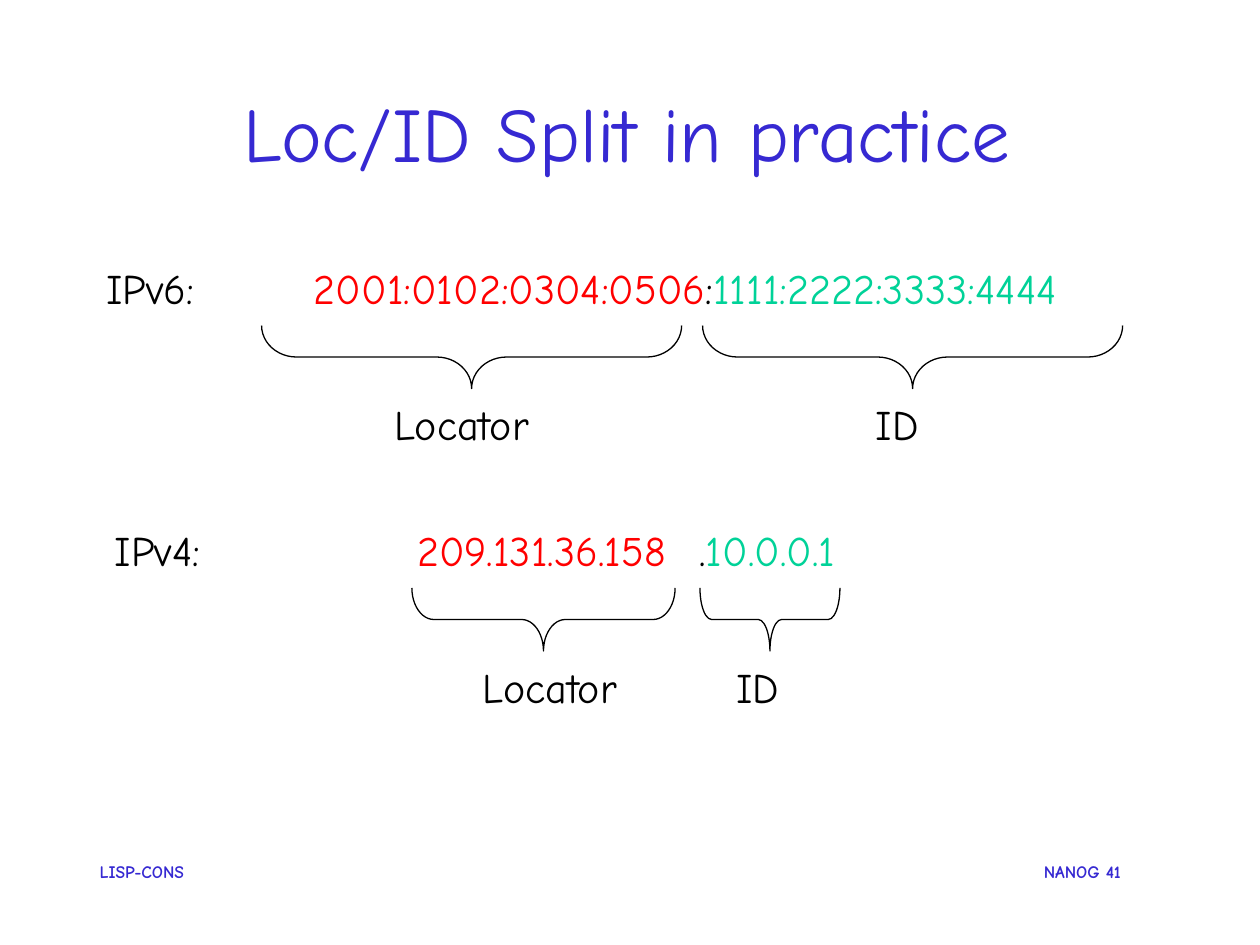
from pptx import Presentation
from pptx.dml.color import RGBColor
from pptx.enum import shapes, text
from pptx.util import Pt

FONT = "Comic Neue"
BLUE = RGBColor(0x36, 0x29, 0xD2)
RED = RGBColor(0xFF, 0, 0)
GREEN = RGBColor(0, 0xD2, 0x98)
BLACK = RGBColor(0, 0, 0)
ROW_H = 28.8
BRACE_H = 36


def add_text(s, box, runs, size=24, bold=False, wrap=False, align=text.PP_ALIGN.LEFT,
             anchor=text.MSO_ANCHOR.TOP, margins=(3, 0, 3, 0)):
    sp = s.shapes.add_textbox(*map(Pt, box))
    tf = sp.text_frame
    tf.word_wrap = wrap
    tf.vertical_anchor = anchor
    tf.margin_left, tf.margin_top, tf.margin_right, tf.margin_bottom = map(Pt, margins)
    p = tf.paragraphs[0]
    p.alignment = align
    for content, color in runs:
        r = p.add_run()
        r.text = content
        r.font.name = FONT
        r.font.size = Pt(size)
        r.font.bold = bold
        r.font.color.rgb = color


def add_brace(s, x, y, w, h):
    left, top = x + (w - h) / 2, y + (h - w) / 2
    sp = s.shapes.add_shape(shapes.MSO_SHAPE.LEFT_BRACE, Pt(left), Pt(top), Pt(h), Pt(w))
    sp.rotation = 270
    sp.adjustments[0] = w / h / 12
    sp.shadow.inherit = False
    sp.fill.background()
    sp.line.color.rgb = BLACK
    sp.line.width = Pt(0.75)


def add_title(s, box):
    add_text(s, box, [("Loc/ID Split in practice", BLUE)], size=44, wrap=True,
             align=text.PP_ALIGN.CENTER, anchor=text.MSO_ANCHOR.MIDDLE,
             margins=(7.2, 4.3, 10, 4.3))


def add_footer(s, x, y, w, h):
    right_w = 75
    add_text(s, (x, y, 186, h), [("LISP-CONS", BLUE)], size=10, bold=True, wrap=True)
    add_text(s, (x + w - right_w, y, right_w, h), [("NANOG 41", BLUE)], size=10,
             bold=True, wrap=True, align=text.PP_ALIGN.CENTER)


def add_address(s, y, label, values, parts):
    for x, w, runs in [label, *values]:
        add_text(s, (x, y, w, ROW_H), runs)
    for brace_x, brace_w, name_x, name_w, name in parts:
        add_brace(s, brace_x, y + 36, brace_w, BRACE_H)
        add_text(s, (name_x, y + 78, name_w, ROW_H), [(name, BLACK)])


def main():
    prs = Presentation()
    prs.slide_width, prs.slide_height = Pt(720), Pt(540)
    s = prs.slides.add_slide(prs.slide_layouts[6])
    add_footer(s, 54, 492, 602, 22)
    add_title(s, (54, 6, 612, 138))
    add_address(
        s, 150, (57.6, 57, [("IPv6:", BLACK)]),
        [(176.4, 430.6, [("2001:0102:0304:0506", RED), (":", BLACK),
                         ("1111:2222:3333:4444", GREEN)])],
        [(149.5, 240, 222.5, 84.2, "Locator"), (401.5, 240, 497.5, 31, "ID")])
    add_address(
        s, 300, (62.6, 55.4, [("IPv4:", BLACK)]),
        [(235.4, 148.3, [("209.131.36.158", RED)]),
         (396.7, 84.2, [(".", BLACK), ("10.0.0.1", GREEN)])],
        [(235.4, 150.4, 272.9, 84.2, "Locator"), (400, 80, 417.6, 31, "ID")])
    prs.save("out.pptx")


if __name__ == "__main__":
    main()
